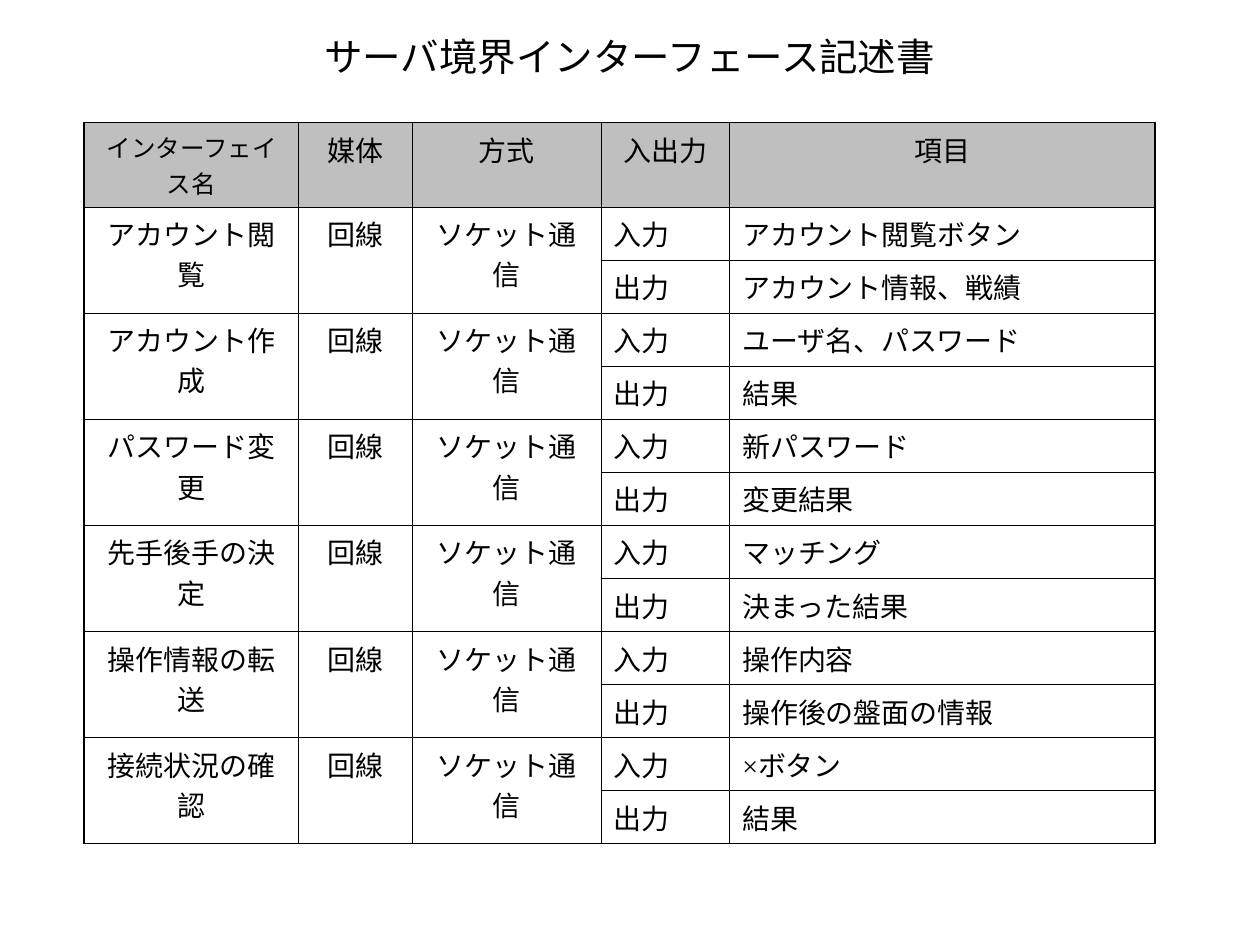
"""Build the server boundary interface description slide."""
from lxml import etree
from pptx import Presentation
from pptx import util as u
from pptx.dml.color import RGBColor
from pptx.enum import text
from pptx.oxml import ns

BLACK = RGBColor(0x00, 0x00, 0x00)
HEADER_GREY = RGBColor(0xBF, 0xBF, 0xBF)
FONT = "Times New Roman"
THIN, THICK = u.Pt(0.45), u.Pt(1.08)
COLUMN_WIDTHS = [4.32, 2.29, 3.81, 2.59, 8.58]
HEADER_HEIGHT, ROW_HEIGHT = 1.7, 1.07

HEADERS = ["インターフェイス名", "媒体", "方式", "入出力", "項目"]
MEDIUM, METHOD = "回線", "ソケット通信"
INTERFACES = [
    ("アカウント閲覧", "アカウント閲覧ボタン", "アカウント情報、戦績"),
    ("アカウント作成", "ユーザ名、パスワード", "結果"),
    ("パスワード変更", "新パスワード", "変更結果"),
    ("先手後手の決定", "マッチング", "決まった結果"),
    ("操作情報の転送", "操作内容", "操作後の盤面の情報"),
    ("接続状況の確認", "×ボタン", "結果"),
]


def write_text(frame, words, size, centred):
    para = frame.paragraphs[0]
    para.text = words
    para.alignment = text.PP_ALIGN.CENTER if centred else text.PP_ALIGN.LEFT
    para.font.size = u.Pt(size)
    para.font.name = FONT
    para.font.color.rgb = BLACK


def add_title(page, words):
    box = page.shapes.add_textbox(u.Cm(1.9), u.Cm(0.53), u.Cm(21.59), u.Cm(1.22))
    box.text_frame.word_wrap = True
    box.text_frame.vertical_anchor = text.MSO_ANCHOR.MIDDLE
    write_text(box.text_frame, words, 22, True)


def set_borders(cell, left, right, top, bottom):
    properties = cell._tc.get_or_add_tcPr()
    for side, width in zip("LRTB", (left, right, top, bottom)):
        line = etree.SubElement(properties, ns.qn(f"a:ln{side}"), w=str(int(width)))
        fill = etree.SubElement(line, ns.qn("a:solidFill"))
        etree.SubElement(fill, ns.qn("a:srgbClr"), val=str(BLACK))


def fill_cell(table, row, column, words, size=16, centred=True):
    cell = table.cell(row, column)
    write_text(cell.text_frame, words, size, centred)
    set_borders(
        cell,
        left=THICK if column == 0 else THIN,
        right=THICK if column == len(COLUMN_WIDTHS) - 1 else THIN,
        top=THICK if row == 0 else THIN,
        bottom=THIN,
    )
    if row == 0:
        cell.fill.solid()
        cell.fill.fore_color.rgb = HEADER_GREY
    else:
        cell.fill.background()


def add_interface(table, row, name, received, sent):
    for column, words in enumerate((name, MEDIUM, METHOD)):
        table.cell(row, column).merge(table.cell(row + 1, column))
        fill_cell(table, row, column, words)
        table.cell(row + 1, column).fill.background()
    for offset, pair in enumerate((("入力", received), ("出力", sent))):
        for column, words in enumerate(pair, start=3):
            fill_cell(table, row + offset, column, words, centred=False)


def add_interface_table(page):
    row_count = 1 + 2 * len(INTERFACES)
    height = HEADER_HEIGHT + (row_count - 1) * ROW_HEIGHT
    frame = page.shapes.add_table(
        row_count, len(COLUMN_WIDTHS),
        u.Cm(1.7), u.Cm(2.47), u.Cm(sum(COLUMN_WIDTHS)), u.Cm(height),
    )
    table = frame.table
    table.first_row = False
    table.horz_banding = False
    for column, width in zip(table.columns, COLUMN_WIDTHS):
        column.width = u.Cm(width)
    for index, row in enumerate(table.rows):
        row.height = u.Cm(ROW_HEIGHT if index else HEADER_HEIGHT)
    for column, words in enumerate(HEADERS):
        fill_cell(table, 0, column, words, size=16 if column else 14)
    for index, interface in enumerate(INTERFACES):
        add_interface(table, 1 + 2 * index, *interface)


def main():
    deck = Presentation()
    deck.slide_width, deck.slide_height = u.Cm(25.4), u.Cm(19.05)
    page = deck.slides.add_slide(deck.slide_layouts[6])
    add_title(page, "サーバ境界インターフェース記述書")
    add_interface_table(page)
    deck.save("out.pptx")


if __name__ == "__main__":
    main()
